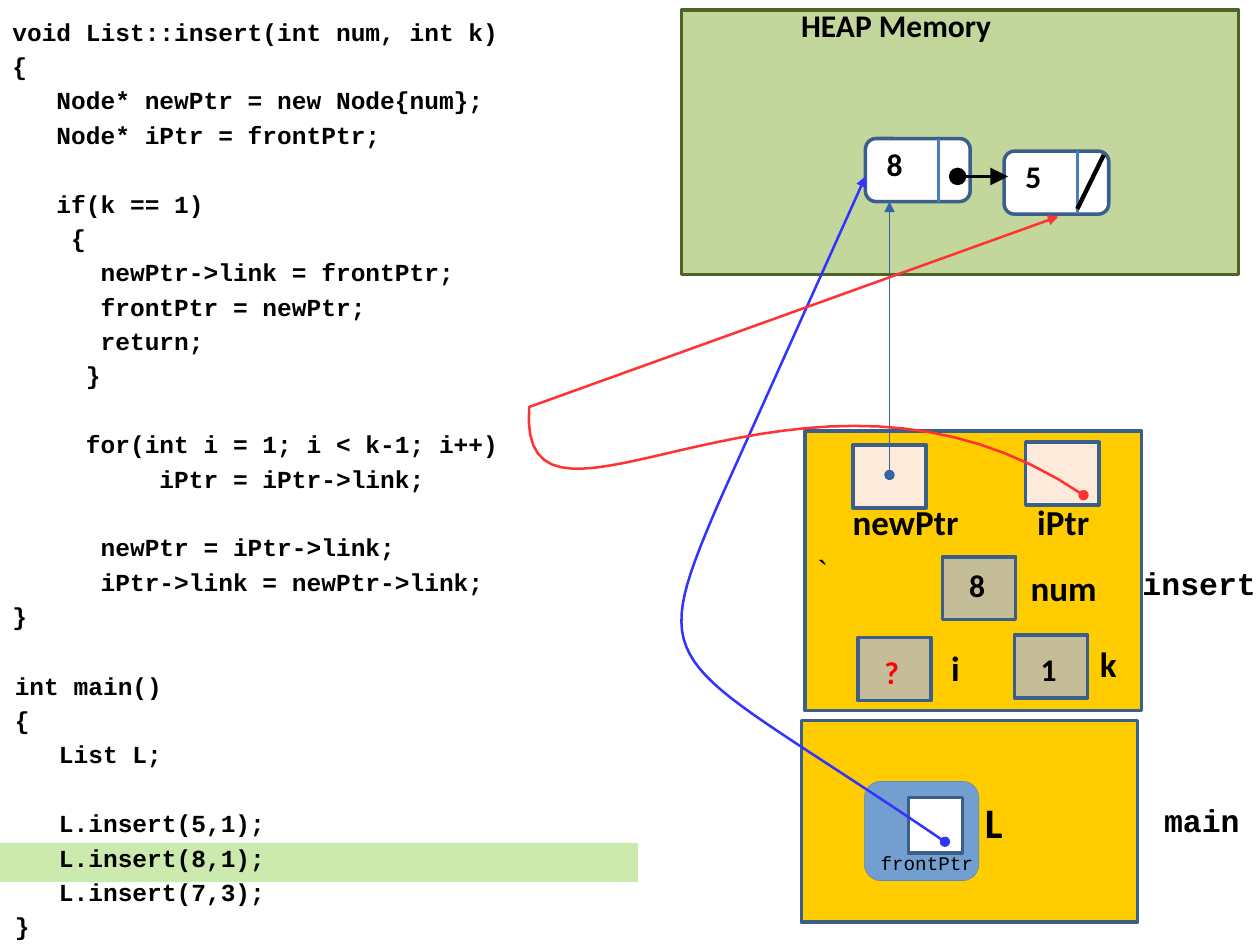
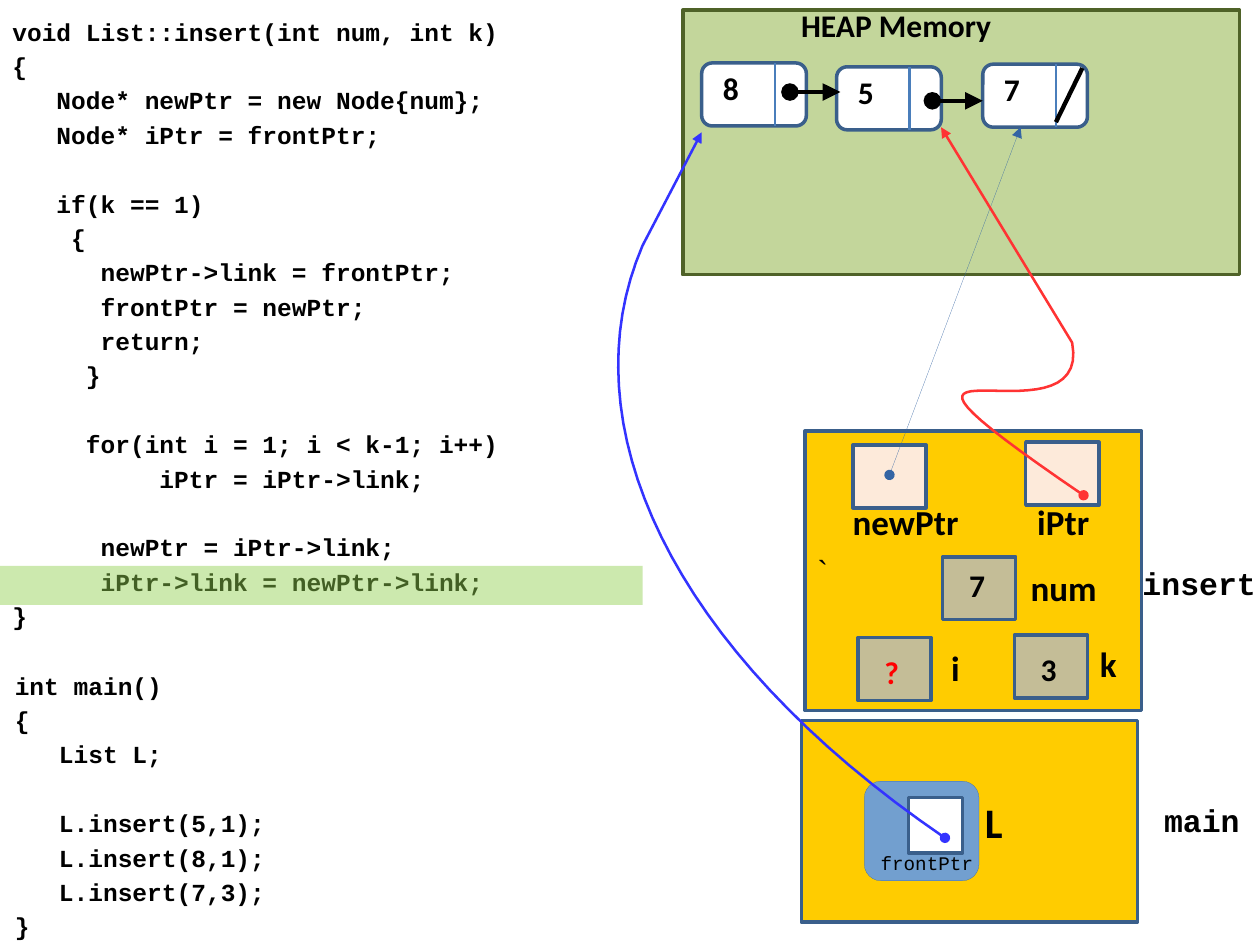
"""Build two slides that trace a linked-list insertion through stack and heap memory."""
from lxml import etree
from pptx import Presentation, util as u
from pptx.dml.color import RGBColor
from pptx.enum import shapes, text
from pptx.oxml import ns

Pt = u.Pt
BLACK = RGBColor(0x00, 0x00, 0x00)
WHITE = RGBColor(0xFF, 0xFF, 0xFF)
UNKNOWN_RED = RGBColor(0xFF, 0x00, 0x00)
FRAME_YELLOW = RGBColor(0xFF, 0xCC, 0x00)
HEAP_GREEN = RGBColor(0xC3, 0xD6, 0x9B)
HEAP_EDGE = RGBColor(0x4F, 0x62, 0x28)
EDGE_BLUE = RGBColor(0x3A, 0x5F, 0x8B)
DIVIDER_BLUE = RGBColor(0x4A, 0x7E, 0xBB)
OBJECT_BLUE = RGBColor(0x72, 0x9F, 0xCF)
POINTER_BLUE = RGBColor(0x34, 0x65, 0xA4)
VALUE_TAN = RGBColor(0xC4, 0xBD, 0x97)
POINTER_PEACH = RGBColor(0xFD, 0xEA, 0xDA)
FRONT_BLUE = RGBColor(0x33, 0x33, 0xFF)
ITER_RED = RGBColor(0xFF, 0x33, 0x33)
HIGHLIGHT = RGBColor(0x92, 0xD0, 0x50)

BODY, MONO = "Calibri", "Courier New"
CODE_PITCH = 19.63
CELL = (41.8, 36)
NODE_W, NODE_H, DIVIDER_X = 59.8, 36, 41.8
LINK_LENGTH = 28.8
HAIRLINE = 0.1
CURVE_STEPS = 32

INSERT_CODE = """\
void List::insert(int num, int k)
{
   Node* newPtr = new Node{num};
   Node* iPtr = frontPtr;

   if(k == 1)
    {
      newPtr->link = frontPtr;
      frontPtr = newPtr;
      return;
     }

     for(int i = 1; i < k-1; i++)
          iPtr = iPtr->link;

      newPtr = iPtr->link;
      iPtr->link = newPtr->link;
}"""

MAIN_CODE = """\
int main()
{
   List L;

   L.insert(5,1);
   L.insert(8,1);
   L.insert(7,3);
}"""


def write(p, content, size=18, font=BODY, color=BLACK, bold=True):
    """Add one formatted run to a paragraph."""
    p.alignment = text.PP_ALIGN.LEFT
    r = p.add_run()
    r.text = content
    r.font.size, r.font.name, r.font.bold = Pt(size), font, bold
    r.font.color.rgb = color


def add_label(s, content, x, y, w, h, **style):
    """Add a one-line text box whose right inset is left free for the text."""
    tf = s.shapes.add_textbox(Pt(x), Pt(y), Pt(w), Pt(h)).text_frame
    tf.word_wrap = True
    tf.margin_right = 0
    write(tf.paragraphs[0], content, **style)


def add_code(s, code, x, y, w, h):
    """Add a code listing, turning empty lines into space before the next one."""
    tf = s.shapes.add_textbox(Pt(x), Pt(y), Pt(w), Pt(h)).text_frame
    tf.word_wrap = True
    p, gap = tf.paragraphs[0], 0
    for number, line in enumerate(code.splitlines()):
        if not line:
            gap += CODE_PITCH
            continue
        if number:
            p = tf.add_paragraph()
        p.line_spacing, p.space_before = Pt(CODE_PITCH), Pt(gap)
        write(p, line, size=14, font=MONO)
        gap = 0


def add_box(s, x, y, w, h, fill, edge=EDGE_BLUE, width=2, rounded=False):
    """Add a flat rectangle, with rounded corners on request."""
    kind = shapes.MSO_SHAPE.ROUNDED_RECTANGLE if rounded else shapes.MSO_SHAPE.RECTANGLE
    sp = s.shapes.add_shape(kind, Pt(x), Pt(y), Pt(w), Pt(h))
    sp.shadow.inherit = False
    sp.fill.solid()
    sp.fill.fore_color.rgb = fill
    if edge is None:
        sp.line.fill.background()
    else:
        sp.line.color.rgb, sp.line.width = edge, Pt(width)
    return sp


def fill_in(sp, content, left, top, **style):
    """Write a value in a shape at a given inset from its corner."""
    tf = sp.text_frame
    tf.vertical_anchor = text.MSO_ANCHOR.TOP
    tf.margin_left, tf.margin_top = Pt(left), Pt(top)
    tf.margin_right = tf.margin_bottom = 0
    write(tf.paragraphs[0], content, **style)


def add_ends(sp, size="med"):
    """Start a line with a dot and finish it with an arrowhead."""
    ln = sp.element.spPr.find(ns.qn("a:ln"))
    for tag, kind in (("a:headEnd", "oval"), ("a:tailEnd", "triangle")):
        etree.SubElement(ln, ns.qn(tag), type=kind, w=size, len=size)


def add_line(s, start, end, color, width, ends=None):
    """Add a straight connector, with arrow ends of the given size if any."""
    sp = s.shapes.add_connector(shapes.MSO_CONNECTOR.STRAIGHT, *map(Pt, start + end))
    sp.line.color.rgb, sp.line.width = color, Pt(width)
    if ends:
        add_ends(sp, ends)
    etree.SubElement(sp.element.spPr, ns.qn("a:effectLst"))


def add_curved_pointer(s, curve, tip, color):
    """Add an arrow that follows a cubic curve and then runs straight to its tip."""
    def at(t):
        """Return the point of the curve at parameter t."""
        weights = ((1 - t) ** 3, 3 * t * (1 - t) ** 2, 3 * t * t * (1 - t), t ** 3)
        return tuple(Pt(sum(k * c for k, c in zip(weights, axis))) for axis in zip(*curve))

    points = [at(n / CURVE_STEPS) for n in range(CURVE_STEPS + 1)]
    builder = s.shapes.build_freeform(*points[0])
    builder.add_line_segments(points[1:] + [tuple(map(Pt, tip))], close=False)
    sp = builder.convert_to_shape()
    sp.shadow.inherit = False
    sp.fill.background()
    sp.line.color.rgb, sp.line.width = color, Pt(1.45)
    add_ends(sp)


def add_node(s, value, x, y, last=False):
    """Add a list node, with a slash in its link field if it is the last."""
    node = add_box(s, x, y, NODE_W, NODE_H, WHITE, rounded=True)
    fill_in(node, value, 10.4, 1.8)
    field = x + DIVIDER_X
    add_line(s, (field, y), (field, y + NODE_H), DIVIDER_BLUE, 1.5)
    if last:
        add_line(s, (field, y + 33.1), (field + 15.1, y + 2.2), BLACK, 2.5)


def add_links(s, *starts):
    """Add the link arrows between nodes."""
    for x, y in starts:
        add_line(s, (x, y), (x + LINK_LENGTH, y), BLACK, 2, ends="lg")


def add_memory(s, heap_x, num, k):
    """Add the heap and the two stack frames with their variables."""
    frame = add_box(s, 460.1, 246.2, 192.2, 159.8, FRAME_YELLOW)
    write(frame.text_frame.paragraphs[0], "`", font="Arial", bold=False)
    add_box(s, 457.9, 411.8, 192.2, 115.2, FRAME_YELLOW)
    add_box(s, 493.9, 446.4, 65.5, 56.9, OBJECT_BLUE, POINTER_BLUE, HAIRLINE, rounded=True)
    add_box(s, 519.1, 455.8, 31, 31.7, WHITE)
    add_box(s, heap_x, 5.8, 318.2, 151.2, HEAP_GREEN, HEAP_EDGE)
    for x, y in ((487.4, 254.2), (586.1, 252.7)):
        add_box(s, x, y, *CELL, POINTER_PEACH)
    for value, x, y, top, color in ((num, 538.6, 318.2, 5.1, BLACK),
                                    (k, 579.6, 362.9, 8.7, BLACK),
                                    ("?", 490.3, 364.3, 8.7, UNKNOWN_RED)):
        fill_in(add_box(s, x, y, *CELL, VALUE_TAN), value, 15.1, top, color=color)
    for name, x, y, w in (("newPtr", 480.2, 282.2, 74.9), ("iPtr", 585.6, 282.2, 43.9),
                          ("num", 581.8, 320.4, 51.8), ("k", 621.4, 363.6, 23.8),
                          ("i", 536.4, 365.8, 19.4)):
        add_label(s, name, x, y, w, 31, size=20)
    add_label(s, "HEAP Memory", 450.7, 0, 123.1, 28.8)
    add_label(s, "L", 555.8, 451.4, 24.5, 36, size=24)
    add_label(s, "frontPtr", 496.1, 483.1, 67, 20, size=11, font=MONO, bold=False)
    add_label(s, "insert", 645.8, 319, 74.2, 28.8, font=MONO)
    add_label(s, "main", 658.1, 454.3, 57.6, 28.8, font=MONO)


def add_listing(s, highlight_y, highlight_w):
    """Add both code listings and the band over the current line."""
    add_code(s, INSERT_CODE, 0, 3.2, 396, 365)
    band = add_box(s, 0, highlight_y, highlight_w, 22.3, HIGHLIGHT, edge=None)
    color = band.element.spPr.find(".//" + ns.qn("a:srgbClr"))
    etree.SubElement(color, ns.qn("a:alpha"), val="46000")
    add_code(s, MAIN_CODE, 1.4, 376.9, 348.5, 163)


def add_pointers(s, new_tip, front, front_tip, iterator, iterator_tip):
    """Add the arrows of the three pointer variables."""
    add_line(s, (508.3, 271.4), new_tip, POINTER_BLUE, HAIRLINE, ends="med")
    add_curved_pointer(s, front, front_tip, FRONT_BLUE)
    add_curved_pointer(s, iterator, iterator_tip, ITER_RED)


def add_second_call(s):
    """Show the state after inserting 8 at the front."""
    add_memory(s, 389.5, "8", "1")
    add_listing(s, 481.7, 364.6)
    add_node(s, "8", 494.6, 79.2)
    add_node(s, "5", 573.8, 86.4, last=True)
    add_links(s, (547.2, 100.8))
    add_pointers(s, (508.3, 115.2),
                 ((540, 481), (381.6, 373), (367.2, 388.8), (410.4, 288)), (494.6, 100.8),
                 ((619.2, 283), (460.8, 175), (295.2, 333.4), (302.4, 232.6)), (604.8, 123.8))


def add_third_call(s):
    """Show the state after inserting 7 in third place."""
    add_memory(s, 390.2, "7", "3")
    add_listing(s, 323.3, 367.2)
    add_node(s, "8", 401, 36)
    add_node(s, "5", 478.1, 38.2)
    add_node(s, "7", 561.6, 36.7, last=True)
    add_links(s, (451.4, 52.6), (532.8, 57.6))
    add_pointers(s, (583.2, 72.7),
                 ((540, 478.8), (381.6, 370.8), (324, 241.2), (367.2, 140.4)), (401, 75.6),
                 ((619.2, 283), (460.8, 175), (625, 260.6), (612.7, 195.8)), (537.8, 72.7))


def main():
    """Build and save the presentation."""
    prs = Presentation()
    prs.slide_width, prs.slide_height = Pt(720), Pt(540)
    for add_state in (add_second_call, add_third_call):
        add_state(prs.slides.add_slide(prs.slide_layouts[6]))
    prs.save("out.pptx")


if __name__ == "__main__":
    main()
